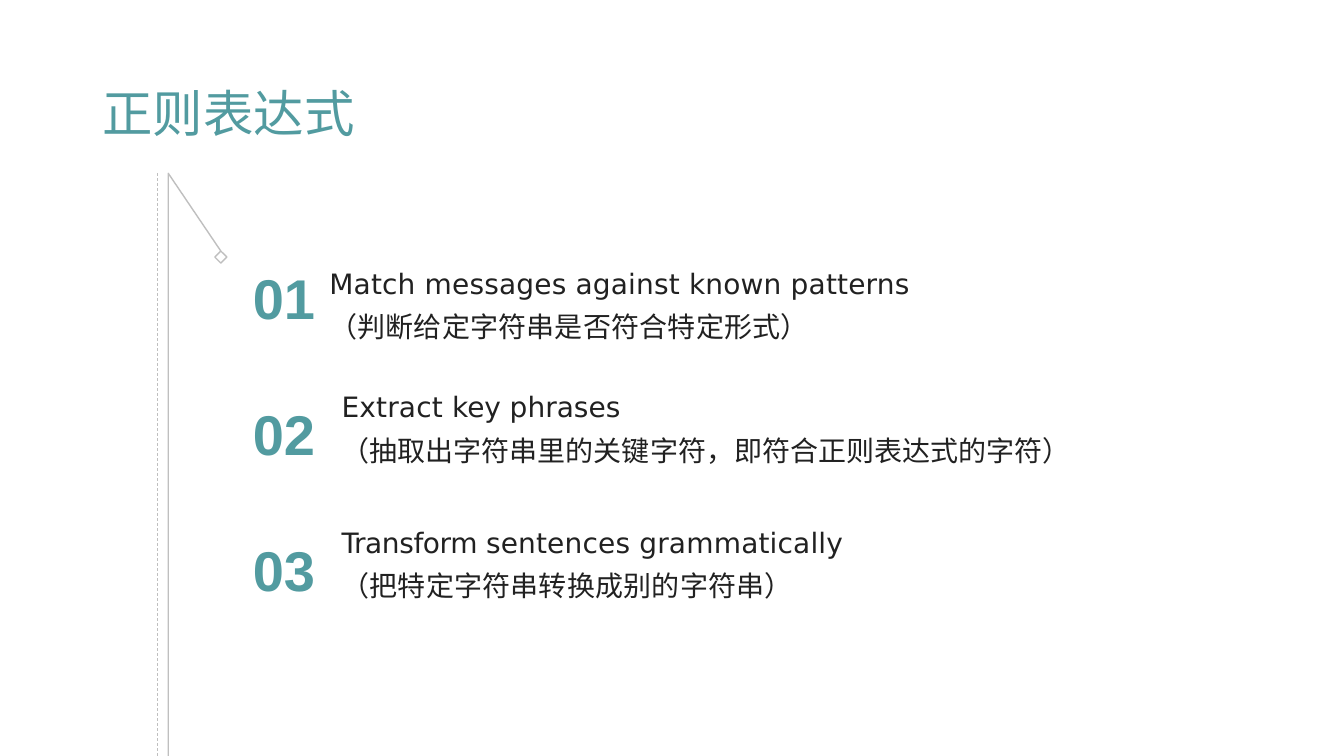
from typing import NamedTuple

from lxml import etree
from pptx import Presentation
from pptx.dml.color import RGBColor
from pptx.enum.dml import MSO_LINE_DASH_STYLE
from pptx.enum.shapes import MSO_CONNECTOR_TYPE, MSO_SHAPE
from pptx.enum.text import MSO_ANCHOR
from pptx.oxml.ns import qn
from pptx.util import Pt

DASH = MSO_LINE_DASH_STYLE.DASH
STRAIGHT = MSO_CONNECTOR_TYPE.STRAIGHT
DIAMOND = MSO_SHAPE.DIAMOND
MIDDLE, TOP = MSO_ANCHOR.MIDDLE, MSO_ANCHOR.TOP

TEAL, INK, GREY = "529BA0", "212121", "BFBFBF"
PAGE_WIDTH, PAGE_HEIGHT = 960, 540


class Span(NamedTuple):
    text: str
    spacing: float = 0  # letter spacing in points


class Style(NamedTuple):
    font: str
    size: float
    color: str
    bold: bool = False
    line_spacing: float = 1.3


class Frame(NamedTuple):
    left: float
    top: float
    width: float
    height: float


class Item(NamedTuple):
    number: str
    number_top: float
    frame: Frame
    english: list[Span]
    chinese: Span


TITLE = Style("Arial", 36, TEAL, line_spacing=0.9)
NUMBER = Style("Arial", 40, TEAL, bold=True)
BODY = Style("DejaVu Sans", 20, INK)

ITEMS = [
    Item("01", 170.6, Frame(228.2, 179.3, 518, 70.5),
         [Span("Match messages against known patterns ", 0.1)],
         Span("（判断给定字符串是否符合特定形式）", 0.1)),
    Item("02", 267.8, Frame(236.9, 267.8, 559, 67),
         [Span("Extract ", 0.1), Span("key ", -0.1), Span("phrases ")],
         Span("（抽取出字符串里的关键字符，即符合正则表达式的字符）")),
    Item("03", 364.3, Frame(236.9, 364.3, 501, 98.6),
         [Span("Transform ", -0.3), Span("sentences grammatically ", 0.1)],
         Span("（把特定字符串转换成别的字符串）", 0.1)),
]


def rgb(color: str) -> RGBColor:
    return RGBColor.from_string(color)


def add_text(page, frame: Frame, lines: list[list[Span]], style: Style, anchor=TOP) -> None:
    box = page.shapes.add_textbox(*map(Pt, frame))
    text_frame = box.text_frame
    text_frame.word_wrap = True
    text_frame.vertical_anchor = anchor
    for index, spans in enumerate(lines):
        para = text_frame.add_paragraph() if index else text_frame.paragraphs[0]
        para.line_spacing = style.line_spacing
        para.font.name = style.font
        para.font.size = Pt(style.size)
        para.font.bold = style.bold
        para.font.color.rgb = rgb(style.color)
        for span in spans:
            run = para.add_run()
            run.text = span.text
            if span.spacing:
                run._r.get_or_add_rPr().set("spc", str(round(span.spacing * 100)))


def outline(shape, width: float) -> None:
    shape.line.color.rgb = rgb(GREY)
    shape.line.width = Pt(width)


def add_rail(page) -> None:
    top, rail_left, dash_left = 123.8, 120.2, 112.3
    elbow_left, elbow_top, diamond_size = 157.7, 179.3, 8.6

    # Solid rail with its slanted arm
    builder = page.shapes.build_freeform(Pt(rail_left), Pt(PAGE_HEIGHT))
    builder.add_line_segments(
        [(Pt(rail_left), Pt(top)), (Pt(elbow_left), Pt(elbow_top))], close=False)
    rail = builder.convert_to_shape()

    # Diamond at the end of the arm
    diamond = page.shapes.add_shape(
        DIAMOND, Pt(elbow_left - diamond_size / 2), Pt(elbow_top),
        Pt(diamond_size), Pt(diamond_size))
    for shape in (rail, diamond):
        shape.shadow.inherit = False
        shape.fill.background()
        outline(shape, 1)

    # Dashed companion line
    dashed = page.shapes.add_connector(
        STRAIGHT, Pt(dash_left), Pt(top), Pt(dash_left), Pt(PAGE_HEIGHT))
    outline(dashed, 0.5)
    dashed.line.dash_style = DASH
    etree.SubElement(dashed._element.spPr, qn("a:effectLst"))


def add_item(page, item: Item) -> None:
    add_text(page, Frame(173.5, item.number_top, 79.2, 70.5), [[Span(item.number)]], NUMBER)
    add_text(page, item.frame, [item.english, [item.chinese]], BODY)


deck = Presentation()
deck.slide_width, deck.slide_height = Pt(PAGE_WIDTH), Pt(PAGE_HEIGHT)
page = deck.slides.add_slide(deck.slide_layouts[6])

add_rail(page)
add_text(page, Frame(66.2, 51.8, 828, 61.9), [[Span("正则表达式")]], TITLE, MIDDLE)
for item in ITEMS:
    add_item(page, item)

deck.save("out.pptx")
